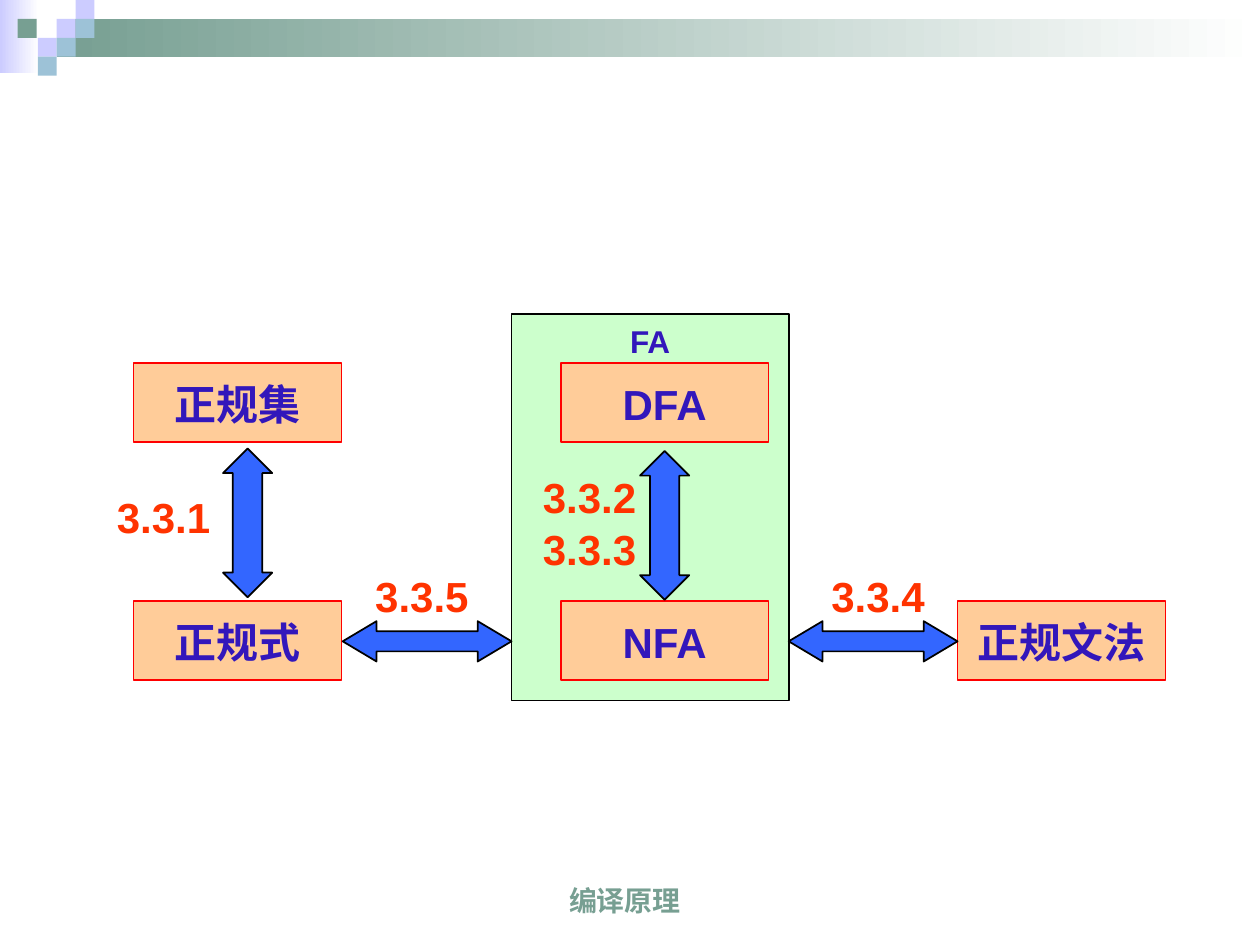
import pptx
import pptx.util
import pptx.dml.color
import pptx.enum.shapes
import pptx.enum.text

RGB = pptx.dml.color.RGBColor
SHAPE = pptx.enum.shapes.MSO_SHAPE
ANCHOR = pptx.enum.text.MSO_ANCHOR
ALIGN = pptx.enum.text.PP_ALIGN

PX = pptx.util.Inches(1) // 100
WHITE = RGB(0xFF, 0xFF, 0xFF)
BLACK = RGB(0x00, 0x00, 0x00)
LILAC = RGB(0xCC, 0xCC, 0xFF)
SAGE = RGB(0x77, 0x9F, 0x92)
SKY = RGB(0x9D, 0xC2, 0xD7)
MINT = RGB(0xCC, 0xFF, 0xCC)
PEACH = RGB(0xFF, 0xCC, 0x99)
RED = RGB(0xFF, 0x00, 0x00)
ORANGE = RGB(0xFF, 0x33, 0x00)
INDIGO = RGB(0x32, 0x17, 0xBB)
BLUE = RGB(0x33, 0x66, 0xFF)

NODE_W, NODE_H = 165, 63
ARROW_W, ARROW_H = 134, 32


def emu(*lengths):
    return [n * PX for n in lengths]


def add_shape(s, kind, box, fill, line=None):
    sp = s.shapes.add_shape(kind, *emu(*box))
    sp.shadow.inherit = False
    if fill is not None:
        sp.fill.solid()
        sp.fill.fore_color.rgb = fill
    if line is None:
        sp.line.fill.background()
    else:
        sp.line.color.rgb = line
        sp.line.width = pptx.util.Pt(1)
    return sp


def add_fade(s, box, color):
    sp = add_shape(s, SHAPE.RECTANGLE, box, None)
    sp.fill.gradient()
    sp.fill.gradient_angle = 0
    for stop, rgb, position in zip(sp.fill.gradient_stops, (color, WHITE), (0, 1)):
        stop.color.rgb = rgb
        stop.position = position


def set_text(sp, lines, size, color, align, anchor, wrap=False):
    tf = sp.text_frame
    tf.word_wrap = wrap
    tf.vertical_anchor = anchor
    tf.text = "\n".join(lines)
    for p in tf.paragraphs:
        p.alignment = align
        p.line_spacing = 1.05
        p.font.name = "Arial"
        p.font.size = pptx.util.Pt(size)
        p.font.bold = True
        p.font.color.rgb = color


def add_node(s, left, top, text):
    sp = add_shape(s, SHAPE.RECTANGLE, (left, top, NODE_W, NODE_H), PEACH, RED)
    set_text(sp, [text], 24, INDIGO, ALIGN.CENTER, ANCHOR.MIDDLE)


def add_label(s, left, top, *lines):
    sp = s.shapes.add_textbox(*emu(left, top, 94, 10 + 40 * len(lines)))
    set_text(sp, lines, 24, ORANGE, ALIGN.LEFT, ANCHOR.TOP)


def add_arrow(s, kind, box, head):
    sp = add_shape(s, kind, box, BLUE, BLACK)
    sp.adjustments[0] = 0.5
    sp.adjustments[1] = head


def add_horizontal_arrow(s, left, top):
    add_arrow(s, SHAPE.LEFT_RIGHT_ARROW, (left, top, ARROW_W, ARROW_H), 0.84)


def add_vertical_arrow(s, left, top):
    add_arrow(s, SHAPE.UP_DOWN_ARROW, (left, top, 39, 118), 0.6)


def add_banner(s, left, top, width):
    add_fade(s, (left, top, 31, 58), LILAC)
    add_fade(s, (left + 45, top + 15, width - 45, 30), SAGE)
    tiles = [(45, 15, LILAC), (60, 0, LILAC), (60, 15, SKY), (30, 30, LILAC),
             (14, 15, SAGE), (45, 30, SKY), (30, 45, SKY)]
    for x, y, color in tiles:
        add_shape(s, SHAPE.RECTANGLE, (left + x, top + y, 15, 15), color)


def add_footer(s, box):
    sp = s.shapes.add_textbox(*emu(*box))
    set_text(sp, ["编译原理"], 16, SAGE, ALIGN.CENTER, ANCHOR.BOTTOM, True)


def add_regular_column(s, left, top):
    add_node(s, left, top, "正规集")
    add_node(s, left, top + 189, "正规式")
    add_vertical_arrow(s, left + 71, top + 68)
    add_label(s, left - 23, top + 95, "3.3.1")


def add_automata_panel(s, left, top, width, height):
    sp = add_shape(s, SHAPE.RECTANGLE, (left, top, width, height), MINT, BLACK)
    set_text(sp, ["FA"], 18, INDIGO, ALIGN.CENTER, ANCHOR.TOP)
    add_node(s, left + 39, top + 39, "DFA")
    add_node(s, left + 39, top + 228, "NFA")
    add_vertical_arrow(s, left + 102, top + 109)
    add_label(s, left + 15, top + 118, "3.3.2", "3.3.3")


def add_links(s, left, right, top):
    add_horizontal_arrow(s, left, top)
    add_horizontal_arrow(s, right, top)
    add_label(s, left + 16, top - 47, "3.3.5")
    add_label(s, right + 24, top - 47, "3.3.4")


def main():
    prs = pptx.Presentation()
    prs.slide_width, prs.slide_height = emu(1000, 750)
    s = prs.slides.add_slide(prs.slide_layouts[6])
    add_banner(s, 0, 0, 1000)
    add_footer(s, (319, 683, 354, 50))
    add_automata_panel(s, 406, 249, 220, 307)
    add_regular_column(s, 106, 288)
    add_node(s, 760, 477, "正规文法")
    add_links(s, 272, 626, 493)
    prs.save("out.pptx")


if __name__ == "__main__":
    main()
